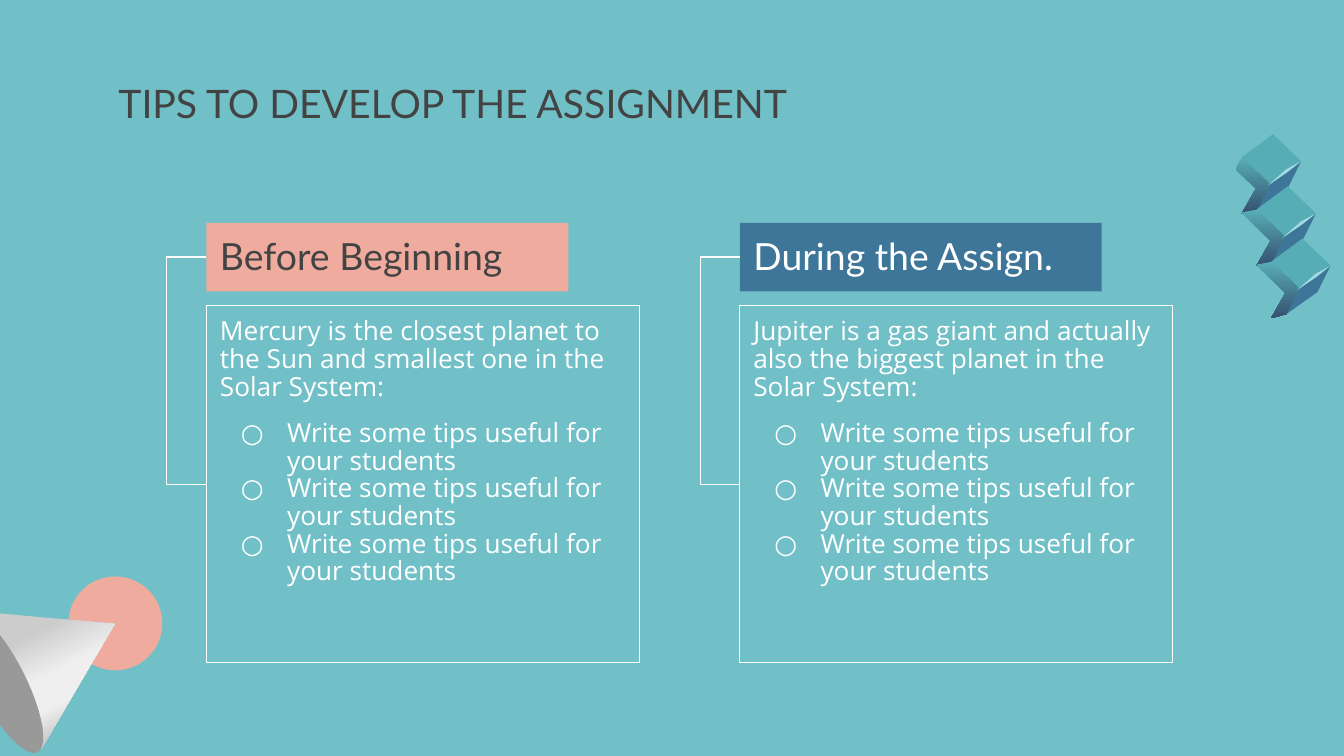
from lxml.etree import SubElement
from pptx import Presentation
from pptx.dml.color import RGBColor
from pptx.enum.shapes import MSO_CONNECTOR, MSO_SHAPE
from pptx.enum.text import MSO_ANCHOR, PP_ALIGN
from pptx.oxml import parse_xml
from pptx.oxml.ns import nsdecls, qn
from pptx.util import Pt

COLORS = {
    "sky": "71C0C8", "salmon": "EEAB9E", "blue": "3E769A", "teal": "57ADB5",
    "navy": "355070", "glint": "A2DCE2", "ink": "434343", "white": "FFFFFF",
    "silver": "CCCCCC", "shine": "EFEFEF", "gray": "999999",
}
TIP = "Write some tips useful for your students"
TIP_COUNT = 3
COLUMNS = [
    ("Before Beginning", "salmon", "ink",
     "Mercury is the closest planet to the Sun and smallest one in the Solar System:"),
    ("During the Assign.", "blue", "white",
     "Jupiter is a gas giant and actually also the biggest planet in the Solar System:"),
]


def rgb(name):
    return RGBColor.from_string(COLORS[name])


def paint(shape, fill=None, line=None):
    shape.shadow.inherit = False
    if fill:
        shape.fill.solid()
        shape.fill.fore_color.rgb = rgb(fill)
    else:
        shape.fill.background()
    if line:
        shape.line.color.rgb = rgb(line)
        shape.line.width = Pt(0.75)
    else:
        shape.line.fill.background()


def paint_gradient(shape, stops, angle):
    """Fill with a linear gradient of (percent, color) stops."""
    paint(shape)
    stop_xml = "".join(
        f'<a:gs pos="{percent * 1000}"><a:srgbClr val="{COLORS[color]}"/></a:gs>'
        for percent, color in stops)
    gradient = parse_xml(
        f'<a:gradFill {nsdecls("a")} rotWithShape="1"><a:gsLst>{stop_xml}</a:gsLst>'
        f'<a:lin ang="{angle * 60000}" scaled="0"/></a:gradFill>')
    properties = shape.element.spPr
    properties.replace(properties.find(qn("a:noFill")), gradient)


def add_polygon(page, left, top, points):
    corners = [(Pt(left + x), Pt(top + y)) for x, y in points]
    builder = page.shapes.build_freeform(*corners[0])
    builder.add_line_segments(corners[1:], close=True)
    return builder.convert_to_shape()


def add_oval(page, left, top, width, height, fill, rotation=0):
    oval = page.shapes.add_shape(MSO_SHAPE.OVAL, Pt(left), Pt(top), Pt(width), Pt(height))
    oval.rotation = rotation
    paint(oval, fill)


def set_frame(shape, anchor=MSO_ANCHOR.TOP):
    frame = shape.text_frame
    frame.word_wrap = True
    frame.vertical_anchor = anchor
    frame.margin_left = frame.margin_right = Pt(9.6)
    frame.margin_top = frame.margin_bottom = Pt(9.6)
    return frame


def write(para, text, size, font, color):
    para.add_run().text = text
    para.alignment = PP_ALIGN.LEFT
    para.font.size = Pt(size)
    para.font.name = font
    para.font.color.rgb = rgb(color)


def add_bullet(para):
    properties = para._p.get_or_add_pPr()
    properties.set("marL", str(Pt(48)))
    properties.set("indent", str(-Pt(33)))
    color = SubElement(properties, qn("a:buClr"))
    SubElement(color, qn("a:srgbClr"), val=COLORS["white"])
    SubElement(properties, qn("a:buFont"), typeface="Open Sans")
    SubElement(properties, qn("a:buChar"), char="○")


def add_title(page, left, top, width, height):
    box = page.shapes.add_textbox(Pt(left), Pt(top), Pt(width), Pt(height))
    write(set_frame(box).paragraphs[0], "TIPS TO DEVELOP THE ASSIGNMENT", 28, "Lato", "ink")


def add_bracket(page, x, top, bottom, reach):
    """Join two heights at x by an elbow that reaches out to the left."""
    width = 0.1
    elbow = page.shapes.add_connector(
        MSO_CONNECTOR.ELBOW, Pt(x), Pt(top), Pt(x + width), Pt(bottom))
    elbow.line.color.rgb = rgb("white")
    elbow.line.width = Pt(0.75)
    properties = elbow.element.spPr
    SubElement(properties, qn("a:effectLst"))
    guides = properties.find(qn("a:prstGeom")).get_or_add_avLst()
    SubElement(guides, qn("a:gd"), name="adj1", fmla=f"val {round(-reach / width * 100000)}")


def add_column(page, left, top, width, height, heading, fill, ink, intro):
    head_height, gap = 49, 10
    body_top = top + head_height + gap
    body_height = height - head_height - gap

    body = page.shapes.add_shape(
        MSO_SHAPE.RECTANGLE, Pt(left), Pt(body_top), Pt(width), Pt(body_height))
    paint(body, line="white")
    frame = set_frame(body)
    for index, text in enumerate([intro] + [TIP] * TIP_COUNT):
        para = frame.add_paragraph() if index else frame.paragraphs[0]
        para.line_spacing = 0.88
        para.space_before = Pt(13.3 if index == 1 else 0)
        if index:
            add_bullet(para)
        write(para, text, 18.7, "Open Sans", "white")

    head = page.shapes.add_shape(
        MSO_SHAPE.RECTANGLE, Pt(left), Pt(top), Pt(258.5), Pt(head_height))
    paint(head, fill)
    write(set_frame(head, MSO_ANCHOR.BOTTOM).paragraphs[0], heading, 26.7, "Lato", ink)

    add_bracket(page, left, top + head_height / 2, body_top + body_height / 2, 25)


def add_cone(page, left, top):
    """Silver cone in front of a salmon disc; the box starts at the cone's upper left."""
    add_oval(page, left + 69.8, top - 24.5, 67, 67, "salmon")
    side = add_polygon(page, left, top, [(0, 0), (103, 9.4), (50.4, 98.6)])
    paint_gradient(side, [(0, "silver"), (25, "silver"), (50, "shine"),
                          (65, "shine"), (100, "gray")], 63)
    add_oval(page, left - 34.5, top + 33.8, 113, 33.8, "gray", 242.9)


def add_zigzag(page, left, top):
    """Folded ribbon of three steps going down to the right."""
    tread = [(26.6, 0), (46.8, 19.4), (24.5, 36), (4.3, 16.6)]
    riser = [(46.8, 19.4), (24.5, 36), (15.1, 54), (37.4, 38.2)]
    flank = [(4.3, 16.6), (24.5, 36), (15.1, 54), (4.3, 56.9), (14.4, 38.9)]
    glint = [(46.8, 19.4), (36, 25.2), (23, 36.7), (36.7, 27.4)]
    for step in range(3):
        x, y = left + step * 10.5, top + step * 37.3
        flank_end = (-6.1, 18.9) if step else (0, 25.2)
        paint(add_polygon(page, x, y, tread), "teal")
        paint(add_polygon(page, x, y, riser), "blue")
        paint_gradient(add_polygon(page, x, y, flank + [flank_end]),
                       [(0, "teal"), (100, "navy")], 90)
        paint(add_polygon(page, x, y, glint), "glint")


def main():
    deck = Presentation()
    deck.slide_width, deck.slide_height = Pt(960), Pt(540)
    page = deck.slides.add_slide(deck.slide_layouts[6])
    page.background.fill.solid()
    page.background.fill.fore_color.rgb = rgb("sky")
    add_cone(page, -20.9, 436.3)
    add_zigzag(page, 882.7, 95.8)
    add_title(page, 75, 46.8, 810.7, 60.5)
    for index, column in enumerate(COLUMNS):
        add_column(page, 147.5 + index * 381, 159.1, 309, 314.5, *column)
    deck.save("out.pptx")


if __name__ == "__main__":
    main()
